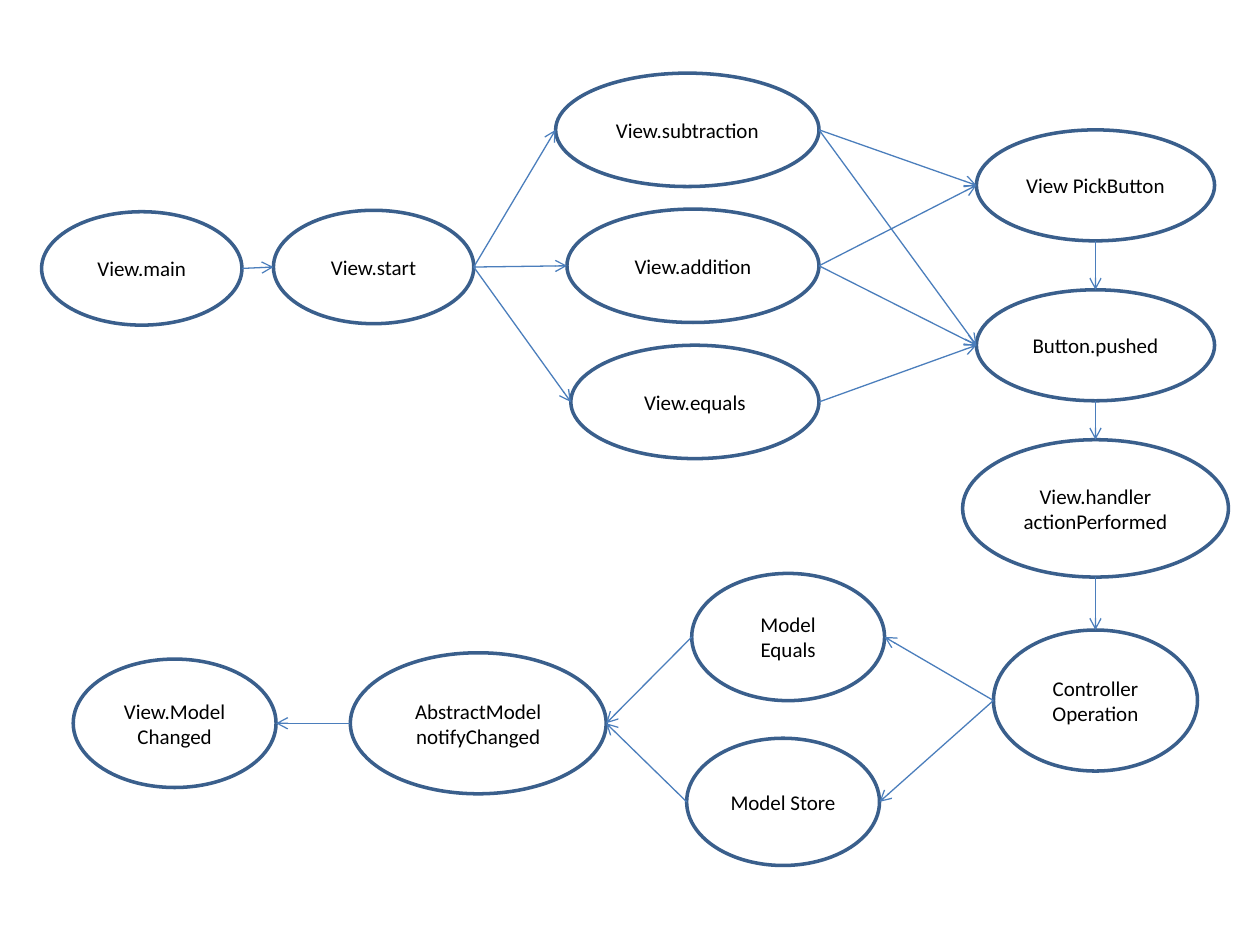
from dataclasses import dataclass
from enum import Enum

from pptx import Presentation
from pptx.dml.color import RGBColor
from pptx.enum.shapes import MSO_CONNECTOR, MSO_SHAPE
from pptx.enum.text import MSO_ANCHOR, PP_ALIGN
from pptx.oxml import parse_xml
from pptx.oxml.ns import nsdecls, qn
from pptx.shapes.autoshape import Shape
from pptx.slide import Slide
from pptx.util import Pt

WHITE = RGBColor(0xFF, 0xFF, 0xFF)
BLACK = RGBColor(0x00, 0x00, 0x00)
OUTLINE_BLUE = RGBColor(0x3A, 0x5F, 0x8C)
ARROW_BLUE = RGBColor(0x4B, 0x7E, 0xBC)

FRAME_FORMAT = {"word_wrap": True, "vertical_anchor": MSO_ANCHOR.MIDDLE}
FONT_FORMAT = {"name": "Calibri", "size": Pt(12)}

VIEW_HEIGHT = 64.8
VIEW_RIGHT = 468
BUTTON_SIZE = (136.1, 63.4)
MODEL_SIZE = (110.2, 72.7)
START_SIZE = (114.5, VIEW_HEIGHT)
CONTROL_X = 626
NOTIFY_Y = 413.3


class Side(Enum):
    TOP = (0, 0, -0.5)
    LEFT = (2, -0.5, 0)
    BOTTOM = (4, 0, 0.5)
    RIGHT = (6, 0.5, 0)


@dataclass(frozen=True)
class Node:
    text: str
    center_x: float
    center_y: float
    width: float
    height: float

    def point(self, side: Side) -> tuple[float, float]:
        _, across, down = side.value
        return self.center_x + across * self.width, self.center_y + down * self.height


@dataclass(frozen=True)
class Link:
    start: str
    end: str
    leaves: Side
    enters: Side


def view_node(text: str, center_y: float, width: float) -> Node:
    return Node(text, VIEW_RIGHT - width / 2, center_y, width, VIEW_HEIGHT)


NODES = {
    "main": Node("View.main", 81, 153.4, *START_SIZE),
    "start": Node("View.start", 213.5, 152.6, *START_SIZE),
    "subtraction": view_node("View.subtraction", 74.2, 150.5),
    "addition": view_node("View.addition", 151.9, 144),
    "equals": view_node("View.equals", 229.7, 141.8),
    "pick": Node("View PickButton", CONTROL_X, 105.9, *BUTTON_SIZE),
    "pushed": Node("Button.pushed", CONTROL_X, 197.3, *BUTTON_SIZE),
    "handler": Node("View.handler\nactionPerformed", CONTROL_X, 290.5, 151.9, 78.5),
    "controller": Node("Controller\nOperation", CONTROL_X, 400.3, 116.6, 80.6),
    "model equals": Node("Model Equals", 450.4, 364, *MODEL_SIZE),
    "model store": Node("Model Store", 447.5, 458.2, *MODEL_SIZE),
    "notify": Node("AbstractModel notifyChanged", 273.3, NOTIFY_Y, 146.2, 80.6),
    "changed": Node("View.Model Changed", 99.8, NOTIFY_Y, 115.9, 73.4),
}

FLOWS = {
    (Side.RIGHT, Side.LEFT): {
        "main": ["start"],
        "start": ["subtraction", "addition", "equals"],
        "subtraction": ["pick", "pushed"],
        "addition": ["pick", "pushed"],
        "equals": ["pushed"],
    },
    (Side.BOTTOM, Side.TOP): {
        "pick": ["pushed"],
        "pushed": ["handler"],
        "handler": ["controller"],
    },
    (Side.LEFT, Side.RIGHT): {
        "controller": ["model equals", "model store"],
        "model equals": ["notify"],
        "model store": ["notify"],
        "notify": ["changed"],
    },
}

LINKS = [
    Link(start, end, leaves, enters)
    for (leaves, enters), flow in FLOWS.items()
    for start, ends in flow.items()
    for end in ends
]


def apply_format(target: object, values: dict[str, object]) -> None:
    for name, value in values.items():
        setattr(target, name, value)


def add_node(slide: Slide, node: Node) -> Shape:
    left = node.center_x - node.width / 2
    top = node.center_y - node.height / 2
    shape = slide.shapes.add_shape(
        MSO_SHAPE.FLOWCHART_CONNECTOR, Pt(left), Pt(top), Pt(node.width), Pt(node.height)
    )
    shape.shadow.inherit = False
    shape.fill.solid()
    shape.fill.fore_color.rgb = WHITE
    shape.line.color.rgb = OUTLINE_BLUE
    shape.line.width = Pt(2)
    frame = shape.text_frame
    frame.text = node.text
    apply_format(frame, FRAME_FORMAT)
    for paragraph in frame.paragraphs:
        paragraph.alignment = PP_ALIGN.CENTER
        apply_format(paragraph.font, FONT_FORMAT)
        paragraph.font.color.rgb = BLACK
    return shape


def add_link(slide: Slide, link: Link, shapes: dict[str, Shape]) -> None:
    start = NODES[link.start].point(link.leaves)
    end = NODES[link.end].point(link.enters)
    connector = slide.shapes.add_connector(
        MSO_CONNECTOR.STRAIGHT, *(Pt(length) for length in (*start, *end))
    )
    connector.line.color.rgb = ARROW_BLUE
    connector.line.width = Pt(0.75)
    properties = connector._element.spPr
    properties.find(qn("a:ln")).append(
        parse_xml(f'<a:tailEnd {nsdecls("a")} type="arrow"/>')
    )
    properties.append(parse_xml(f'<a:effectLst {nsdecls("a")}/>'))
    glue = connector._element.find(".//" + qn("p:cNvCxnSpPr"))
    for tag, key, side in (
        ("stCxn", link.start, link.leaves),
        ("endCxn", link.end, link.enters),
    ):
        glue.append(parse_xml(
            f'<a:{tag} {nsdecls("a")} id="{shapes[key].shape_id}" idx="{side.value[0]}"/>'
        ))


presentation = Presentation()
presentation.slide_width = Pt(720)
presentation.slide_height = Pt(540)
slide = presentation.slides.add_slide(presentation.slide_layouts[6])
shapes = {key: add_node(slide, node) for key, node in NODES.items()}
for link in LINKS:
    add_link(slide, link, shapes)
presentation.save("out.pptx")
